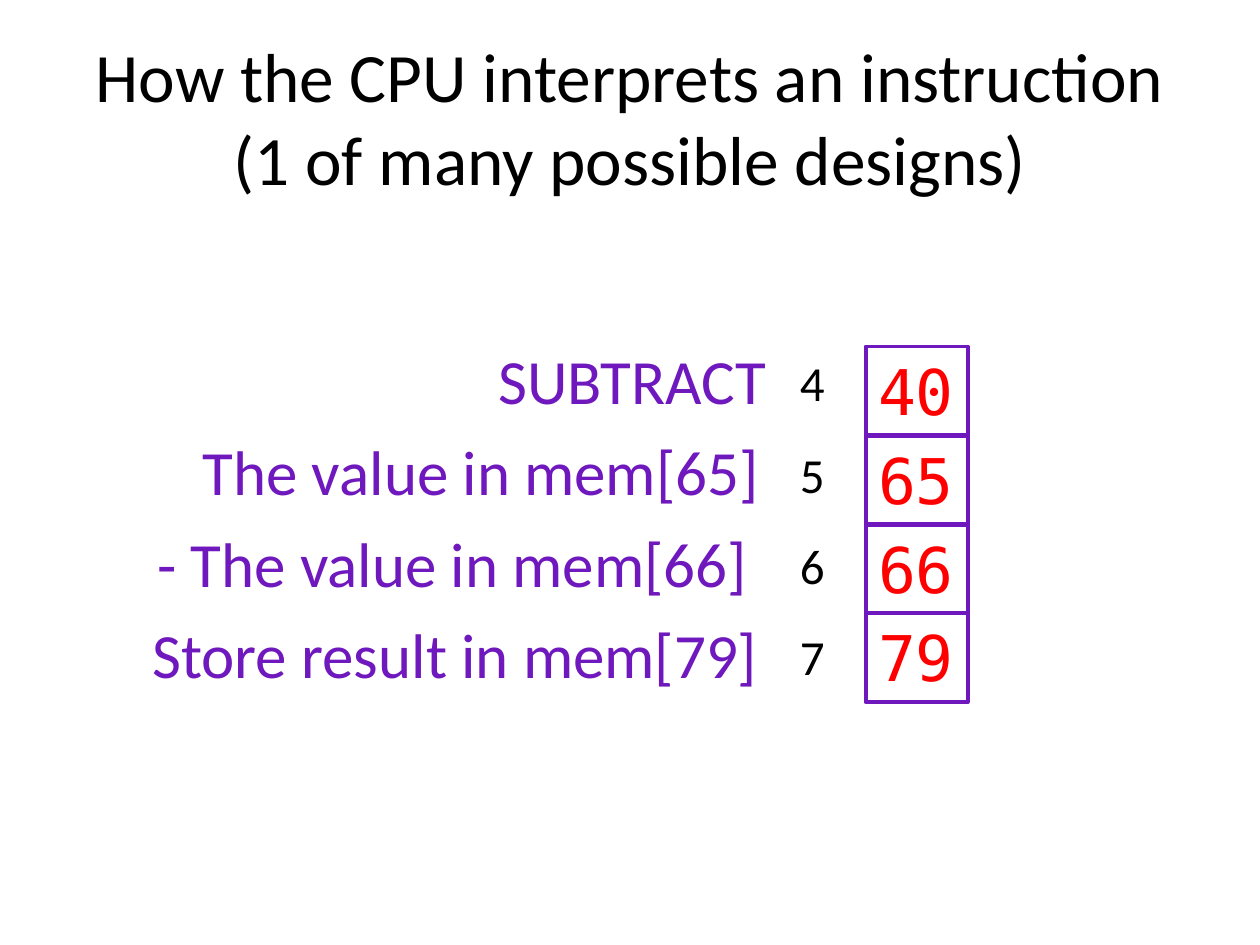
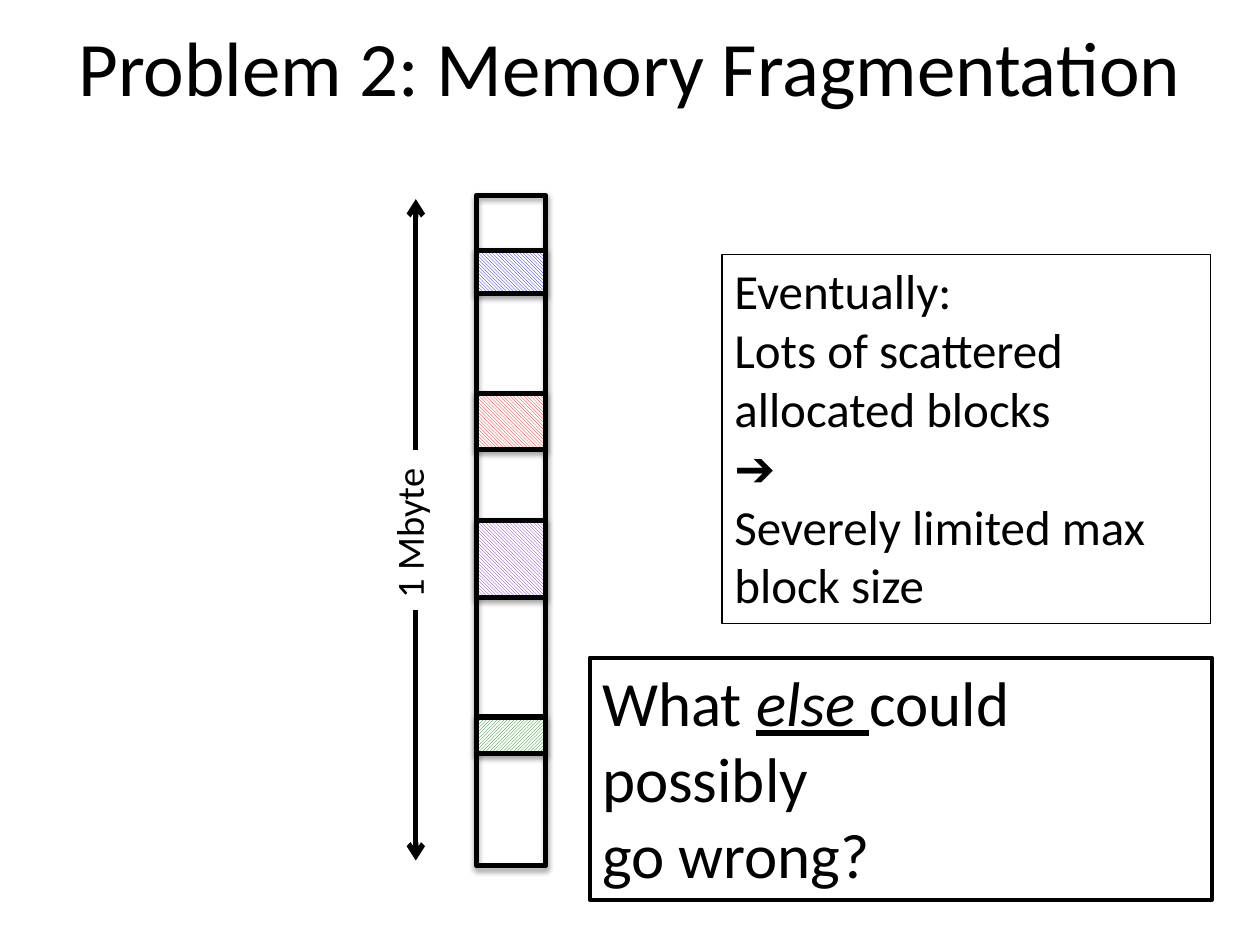
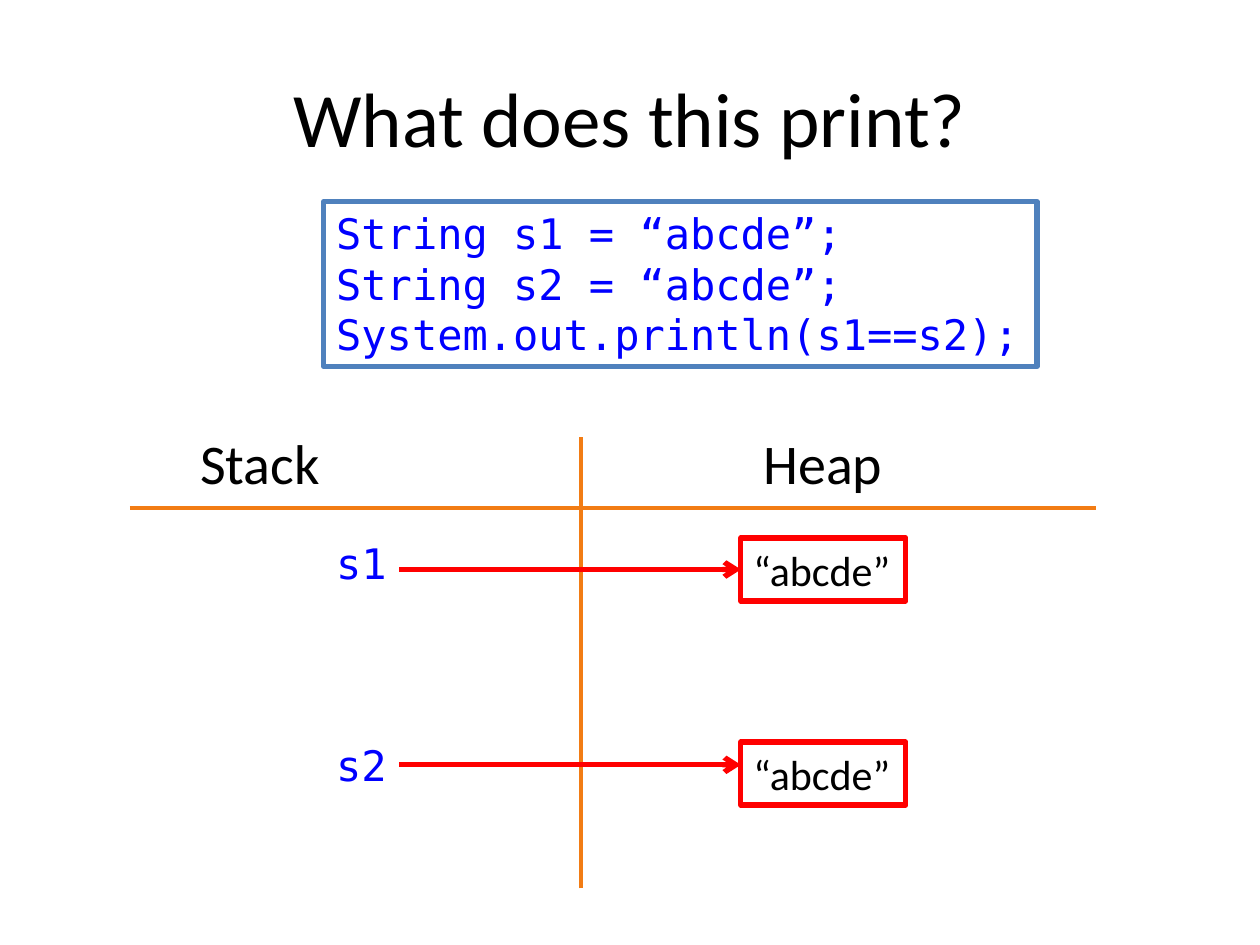
from dataclasses import dataclass
from typing import Any, Optional

from lxml import etree
from pptx import Presentation
from pptx.dml.color import RGBColor
from pptx.enum.dml import MSO_PATTERN
from pptx.enum.shapes import MSO_CONNECTOR, MSO_SHAPE
from pptx.enum.text import MSO_ANCHOR, MSO_AUTO_SIZE, PP_ALIGN
from pptx.oxml.ns import qn
from pptx.util import Inches, Pt

RECTANGLE = MSO_SHAPE.RECTANGLE
STRAIGHT = MSO_CONNECTOR.STRAIGHT
TOP, MIDDLE = MSO_ANCHOR.TOP, MSO_ANCHOR.MIDDLE
LEFT, CENTER, RIGHT = PP_ALIGN.LEFT, PP_ALIGN.CENTER, PP_ALIGN.RIGHT
GROW = MSO_AUTO_SIZE.SHAPE_TO_FIT_TEXT
DOWNWARD = MSO_PATTERN.DARK_DOWNWARD_DIAGONAL
UPWARD = MSO_PATTERN.DARK_UPWARD_DIAGONAL
LEFT_SIDE = 1

COLORS = {
    "black": "000000",
    "white": "FFFFFF",
    "purple": "6F18BD",
    "red": "FF0000",
    "green": "008000",
    "blue": "0000FF",
    "steel": "4F81BD",
    "orange": "F27C14",
}
SANS = "Calibri"
MONO = "DejaVu Sans Mono"
WIDTH, HEIGHT = Inches(10), Inches(7.5)
COLUMNS, ROWS = 100, 75


@dataclass(frozen=True)
class Area:
    column: float
    row: float
    columns: float
    rows: float


@dataclass(frozen=True)
class Span:
    text: str
    italic: bool = False
    underline: bool = False


@dataclass(frozen=True)
class Box:
    area: Area
    paragraphs: tuple[tuple[Span, ...], ...]
    size: float
    color: str = "black"
    font: str = SANS
    align: Any = LEFT
    border: Optional[str] = None
    border_width: float = 3
    fill: Optional[str] = None
    wrap: bool = False
    rotation: float = 0


@dataclass(frozen=True)
class Line:
    start: tuple[float, float]
    end: tuple[float, float]
    color: str
    width: float = 3
    arrow: bool = False


@dataclass(frozen=True)
class Block:
    row: float
    rows: float
    color: str
    pattern: Any = DOWNWARD


def across(columns: float) -> int:
    return round(WIDTH * columns / COLUMNS)


def down(rows: float) -> int:
    return round(HEIGHT * rows / ROWS)


def bounds(area: Area) -> tuple[int, int, int, int]:
    return across(area.column), down(area.row), across(area.columns), down(area.rows)


def rgb(name: str) -> RGBColor:
    return RGBColor.from_string(COLORS[name])


def set_values(target: Any, values: dict[str, Any]) -> None:
    for name, value in values.items():
        setattr(target, name, value)


def plain(*lines: str) -> tuple[tuple[Span, ...], ...]:
    return tuple((Span(line),) for line in lines)


def set_line(shape: Any, color: str, width: float) -> None:
    shape.line.color.rgb = rgb(color)
    shape.line.width = Pt(width)


def add_page(deck: Any, title: str, row: float = 3, size: float = 44) -> Any:
    page = deck.slides.add_slide(deck.slide_layouts[5])
    place = bounds(Area(5, row, 90, 12.5))
    set_values(page.shapes.title, dict(zip(("left", "top", "width", "height"), place)))
    frame = page.shapes.title.text_frame
    frame.text = title
    frame.vertical_anchor = MIDDLE
    para = frame.paragraphs[0]
    para.alignment = CENTER
    for span in para.runs:
        set_values(span.font, {"name": SANS, "size": Pt(size)})
        span.font.color.rgb = rgb("black")
    return page


def draw_box(page: Any, box: Box) -> Any:
    shape = page.shapes.add_textbox(*bounds(box.area))
    shape.rotation = box.rotation
    if box.border:
        set_line(shape, box.border, box.border_width)
    if box.fill:
        shape.fill.solid()
        shape.fill.fore_color.rgb = rgb(box.fill)
    frame = shape.text_frame
    set_values(frame, {"word_wrap": box.wrap, "auto_size": GROW, "vertical_anchor": TOP})
    for index, spans in enumerate(box.paragraphs):
        para = frame.add_paragraph() if index else frame.paragraphs[0]
        para.alignment = box.align
        for span in spans:
            run = para.add_run()
            run.text = span.text
            set_values(run.font, {
                "name": box.font,
                "size": Pt(box.size),
                "italic": span.italic,
                "underline": span.underline,
            })
            run.font.color.rgb = rgb(box.color)
    return shape


def draw_line(page: Any, line: Line) -> Any:
    ends = [f(v) for point in (line.start, line.end) for f, v in zip((across, down), point)]
    connector = page.shapes.add_connector(STRAIGHT, *ends)
    set_line(connector, line.color, line.width)
    if line.arrow:
        outline = connector._element.spPr.find(qn("a:ln"))
        etree.SubElement(outline, qn("a:tailEnd"), type="arrow")
    etree.SubElement(connector._element.spPr, qn("a:effectLst"))
    return connector


def add_shadow(shape: Any) -> None:
    shape.shadow.inherit = False
    effects = shape._element.spPr.find(qn("a:effectLst"))
    shadow = etree.SubElement(effects, qn("a:outerShdw"), blurRad=str(Pt(3.1)),
                              dist=str(Pt(1.8)), dir="5400000", rotWithShape="0")
    color = etree.SubElement(shadow, qn("a:srgbClr"), val=COLORS["black"])
    etree.SubElement(color, qn("a:alpha"), val="35000")


def draw_memory(page: Any, row: float, rows: float) -> Any:
    shape = page.shapes.add_shape(RECTANGLE, *bounds(Area(37.8, row, 5.5, rows)))
    shape.fill.background()
    set_line(shape, "black", 3)
    add_shadow(shape)
    return shape


def draw_block(page: Any, block: Block) -> None:
    shape = draw_memory(page, block.row, block.rows)
    shape.fill.patterned()
    shape.fill.pattern = block.pattern
    shape.fill.fore_color.rgb = rgb(block.color)
    shape.fill.back_color.rgb = rgb("white")


def build_instruction(deck: Any) -> None:
    page = add_page(
        deck, "How the CPU interprets an instruction\v(1 of many possible designs)", size=39.6)
    steps = (
        ("SUBTRACT", 38.2, 23.6, RIGHT, "40"),
        ("The value in mem[65]", 15.1, 48, LEFT, "65"),
        ("- The value in mem[66]", 11.5, 50, LEFT, "66"),
        ("Store result in mem[79]", 11.1, 51.5, LEFT, "79"),
    )
    for index, (meaning, column, columns, align, value) in enumerate(steps):
        offset = 7.25 * index
        draw_box(page, Box(Area(62.5, 27.5 + offset, 4, 5.7), plain(str(4 + index)), 28))
        draw_box(page, Box(Area(68.7, 27.5 + 7.04 * index, 8.1, 7.1), plain(value), 36,
                           "red", MONO, border="purple", border_width=2.25))
        draw_box(page, Box(Area(column, 26.6 + offset, columns, 7.1), plain(meaning), 36,
                           "purple", align=align, wrap=True))


def build_fragmentation(deck: Any) -> None:
    page = add_page(deck, "Problem 2: Memory Fragmentation", row=-1)
    draw_memory(page, 15.5, 53.2)
    for start, end in ((48.4, 68.3), (35.7, 15.8)):
        draw_line(page, Line((33, start), (33, end), "black", arrow=True))
    draw_box(page, Box(Area(26.2, 39.9, 12.5, 4.7), plain("1 Mbyte"), 22, rotation=270))
    for block in (
        Block(41.3, 6.1, "purple"),
        Block(31.2, 4.5, "red"),
        Block(56.9, 2.9, "green", UPWARD),
        Block(19.9, 3.4, "blue"),
    ):
        draw_block(page, block)
    outcome = plain("Eventually:", "Lots of scattered allocated blocks", "➔",
                    "Severely limited max block size")
    draw_box(page, Box(Area(57.3, 20.2, 38.8, 29.3), outcome, 28,
                       border="black", border_width=0.75, wrap=True))
    question = (
        (Span("What "), Span("else ", italic=True, underline=True), Span("could possibly")),
        (Span("go wrong?"),),
    )
    draw_box(page, Box(Area(46.8, 52.2, 49.4, 19.2), question, 36,
                       border="black", border_width=2.25, fill="white", wrap=True))


def build_strings(deck: Any) -> None:
    page = add_page(deck, "What does this print?")
    code = plain("String s1 = “abcde”;", "String s2 = “abcde”;", "System.out.println(s1==s2);")
    draw_box(page, Box(Area(25.7, 16, 56.6, 13.1), code, 24, "blue", MONO, border="steel"))
    for heading, column in (("Stack", 14.9), ("Heap", 59.6)):
        draw_box(page, Box(Area(column, 33.5, 15, 6.4), plain(heading), 32, wrap=True))
    for start, end in (((46.1, 70.5), (46.1, 34.7)), ((10.3, 40.3), (87, 40.3))):
        draw_line(page, Line(start, end, "orange", 2.25))
    for name, name_row, value_row, arrow_row, joined in (
        ("s1", 42.2, 42.7, 45.2, True),
        ("s2", 58.2, 58.9, 60.7, False),
    ):
        draw_box(page, Box(Area(25.7, name_row, 6.1, 5), plain(name), 24, "blue", MONO))
        value = draw_box(page, Box(Area(58.8, value_row, 13.1, 5), plain("“abcde”"), 24,
                                   border="red"))
        arrow = draw_line(page, Line((31.7, arrow_row), (58.8, arrow_row), "red", arrow=True))
        if joined:
            arrow.end_connect(value, LEFT_SIDE)


def main() -> None:
    deck = Presentation()
    set_values(deck, {"slide_width": WIDTH, "slide_height": HEIGHT})
    for build in (build_instruction, build_fragmentation, build_strings):
        build(deck)
    deck.save("out.pptx")


if __name__ == "__main__":
    main()
